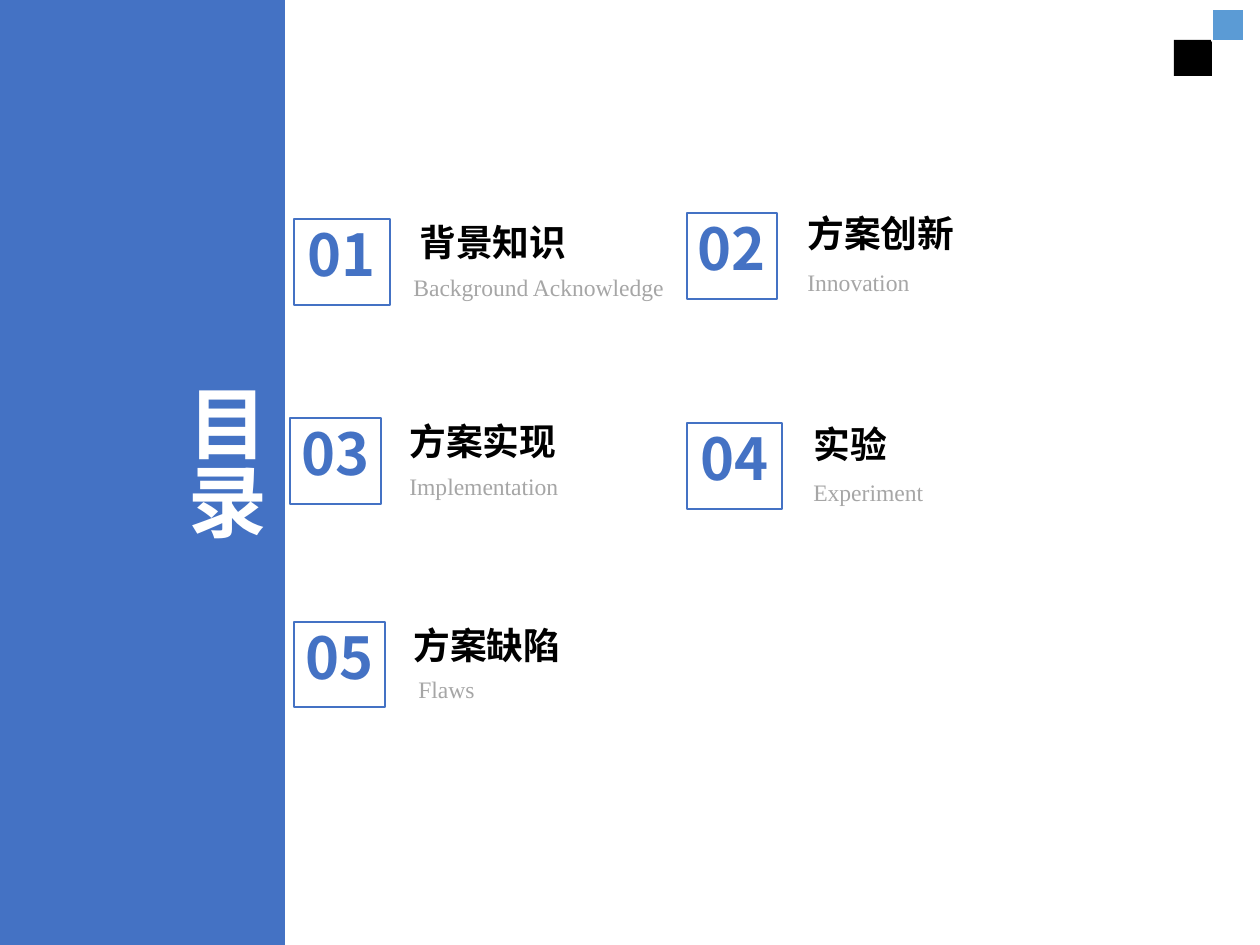
from pptx import Presentation
from pptx import util as u
from pptx.dml.color import RGBColor
from pptx.enum import shapes, text
from pptx.oxml.ns import qn
from lxml import etree

BLUE = "4472C4"
SANS = "Noto Sans CJK SC"
SERIF = "Times New Roman"


def px(n):
    return u.Emu(round(n * 914400 / 126))


def rgb(code):
    return RGBColor.from_string(code)


def rect(parent, box, fill=None, line=None, width=1):
    shape = parent.add_shape(shapes.MSO_SHAPE.RECTANGLE, *map(px, box))
    shape.shadow.inherit = False
    if fill:
        shape.fill.solid()
        shape.fill.fore_color.rgb = rgb(fill)
    else:
        shape.fill.background()
    if line:
        shape.line.color.rgb = rgb(line)
        shape.line.width = u.Pt(width)
    else:
        shape.line.fill.background()
    return shape


def write(shape, words, size, color, font=SANS, bold=True, align="LEFT", space=0.88):
    frame = shape.text_frame
    frame.text = words
    frame.word_wrap = True
    frame.vertical_anchor = text.MSO_ANCHOR.TOP
    para = frame.paragraphs[0]
    para.alignment = getattr(text.PP_ALIGN, align)
    para.line_spacing = space
    for run in para.runs:
        run.font.size = u.Pt(size)
        run.font.bold = bold
        run.font.name = font
        run.font.color.rgb = rgb(color)
        # East Asian typeface
        etree.SubElement(run.font._element, qn("a:ea"), typeface=font)


def label(parent, box, *args, **style):
    write(parent.add_textbox(*map(px, box)), *args, **style)


def corner(slide, left, top):
    rect(slide.shapes, (left, top + 31, 38, 36), "000000")
    rect(slide.shapes, (left + 38, top, 32, 32), "5B9BD5", "FFFFFF", 1.5)


def panel(slide, left, top, width, height):
    rect(slide.shapes, (left, top, width, height), BLUE)
    title = slide.shapes.title
    title.left, title.top = px(left + 177), px(top + 379)
    title.width, title.height = px(100), px(204)
    write(title, "目录", 45, "FFFFFF", align="RIGHT", space=0.82)
    title.text_frame.margin_top = px(13)
    # Bring the title in front of the panel
    slide.shapes._spTree.append(title._element)


def entry(slide, box, num, name, note, head, sub):
    """Framed number; head and sub are the text offsets from the frame."""
    left, top, width, height = box
    group = slide.shapes.add_group_shape().shapes
    label(group, (left + head[0], top + head[1], 265, 57), name, 21, "000000")
    label(group, (left + sub[0], top + sub[1], 282, 42), note, 13.5, "A6A6A6",
          font=SERIF, bold=False, space=1.0)
    label(group, (left - 4, top + 3, width + 8, 83), num, 33, BLUE, align="CENTER")
    rect(group, box, line=BLUE)


ENTRIES = [
    ((294, 219, 96, 86), "01", "背景知识", "Background Acknowledge", (113, 0), (107, 48)),
    ((687, 213, 90, 86), "02", "方案创新", "Innovation", (108, -3), (108, 49)),
    ((290, 418, 91, 86), "03", "方案实现", "Implementation", (107, 0), (107, 48)),
    ((687, 423, 95, 86), "04", "实验", "Experiment", (114, -2), (114, 49)),
    ((294, 622, 91, 85), "05", "方案缺陷", "Flaws", (107, 0), (112, 47)),
]


def main():
    deck = Presentation()
    deck.slide_width, deck.slide_height = px(1260), px(945)
    slide = deck.slides.add_slide(deck.slide_layouts[5])
    corner(slide, 1174, 9)
    panel(slide, -1, 0, 286, 945)
    for item in ENTRIES:
        entry(slide, *item)
    deck.save("out.pptx")


if __name__ == "__main__":
    main()
